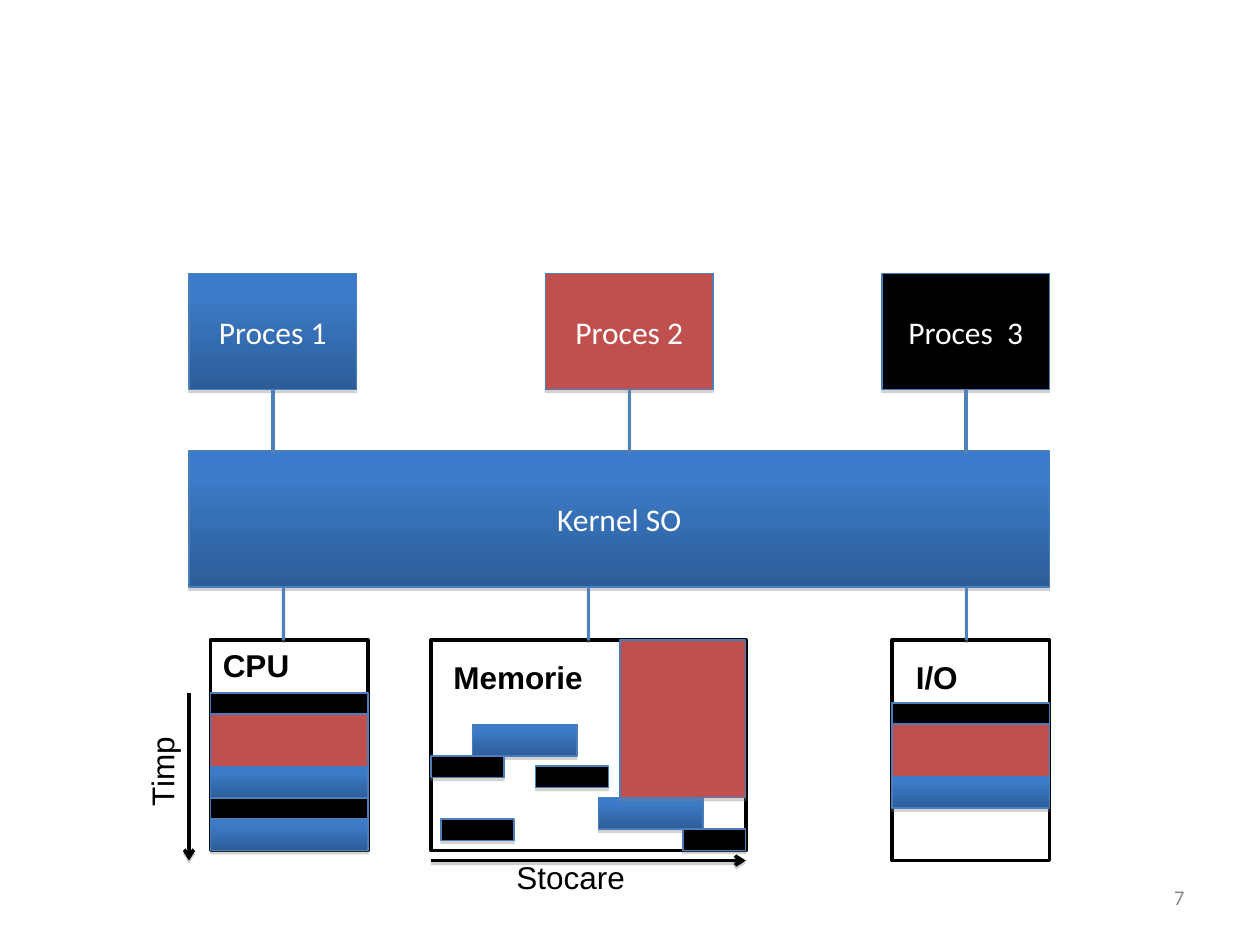
from copy import deepcopy
from dataclasses import dataclass
from typing import Optional

from lxml.etree import SubElement
from pptx import Presentation
from pptx.dml.color import RGBColor
from pptx.enum.shapes import MSO_CONNECTOR as Connector, MSO_SHAPE as Shape
from pptx.enum.text import MSO_ANCHOR as Anchor, MSO_AUTO_SIZE as AutoSize, PP_ALIGN as Align
from pptx.oxml.ns import qn
from pptx.util import Inches, Pt


@dataclass(frozen=True)
class Theme:
    blue: tuple = ((0, "3A7CCB"), (0.2, "3C7BC7"), (1, "2C5D98"))
    red: str = "C0504D"
    black: str = "000000"
    white: str = "FFFFFF"
    grey: str = "898989"
    shadow: str = "808080"
    outline: str = "4A7EBB"
    link: str = "4F81BD"
    body_font: str = "Calibri"
    label_font: str = "Arial"
    text_size: int = 18
    number_size: int = 12
    thin_line: float = 0.75
    thick_line: float = 2


@dataclass(frozen=True)
class Box:
    left: float
    top: float
    width: float
    height: float

    @property
    def center(self) -> float:
        return self.left + self.width / 2

    @property
    def right(self) -> float:
        return self.left + self.width

    @property
    def bottom(self) -> float:
        return self.top + self.height

    def lengths(self) -> tuple:
        return tuple(Inches(n) for n in (self.left, self.top, self.width, self.height))


@dataclass(frozen=True)
class Process:
    text: str
    left: float
    fill: object


@dataclass(frozen=True)
class Label:
    text: str
    box: Box
    bold: bool = False
    wrap: bool = False
    rotation: int = 0


THEME = Theme()
UNIT = 1 / 12
BAND_HEIGHTS = {THEME.black: 2 * UNIT, THEME.red: 5 * UNIT, THEME.blue: 3 * UNIT}

KERNEL = Box(1.5, 3.58, 6.83, 1.08)
CPU = Box(1.67, 5.08, 1.25, 1.67)
MEMORY = Box(3.42, 5.08, 2.5, 1.67)
DEVICES = Box(7.08, 5.08, 1.25, 1.75)

PROCESSES = [
    Process("Proces 1", 1.5, THEME.blue),
    Process("Proces 2", 4.33, THEME.red),
    Process("Proces  3", 7, THEME.black),
]
MEMORY_BLOCKS = [
    (Box(3.75, 5.75, 0.83, 0.25), THEME.blue),
    (Box(4.75, 6.33, 0.83, 0.25), THEME.blue),
    (Box(4.92, 5.08, 1, 1.25), THEME.red),
    (Box(3.5, 6.5, 0.58, 0.17), THEME.black),
    (Box(5.42, 6.58, 0.5, 0.17), THEME.black),
    (Box(4.25, 6.08, 0.58, 0.17), THEME.black),
    (Box(3.42, 6, 0.58, 0.17), THEME.black),
]
LABELS = [
    Label("Memorie", Box(3.5, 5.17, 1.24, 0.4), bold=True),
    Label("CPU", Box(1.67, 5.08, 0.73, 0.4), bold=True),
    Label("I/O", Box(7.17, 5.17, 1.47, 0.4), bold=True, wrap=True),
    Label("Timp", Box(0.91, 5.92, 0.75, 0.4), rotation=270),
    Label("Stocare", Box(4, 6.76, 1.07, 0.4)),
]


def write_text(shape, text: str, *, font: str = THEME.body_font, size: int = THEME.text_size,
               color: str = THEME.white, bold: bool = False, align=Align.CENTER,
               anchor=Anchor.MIDDLE, wrap: bool = True) -> None:
    frame = shape.text_frame
    frame.word_wrap = wrap
    frame.vertical_anchor = anchor
    paragraph = frame.paragraphs[0]
    paragraph.alignment = align
    run = paragraph.add_run()
    run.text = text
    run.font.name, run.font.size, run.font.bold = font, Pt(size), bold
    run.font.color.rgb = RGBColor.from_string(color)


def add_shadow(shape, distance: float, opacity: int) -> None:
    """Put a soft grey shadow straight below a shape or connector."""
    properties = shape._element.spPr
    effects = properties.find(qn("a:effectLst"))
    if effects is None:
        effects = SubElement(properties, qn("a:effectLst"))
    outer = SubElement(effects, qn("a:outerShdw"), blurRad="0", dist=str(Pt(distance)),
                       dir="5400000", rotWithShape="0")
    color = SubElement(outer, qn("a:srgbClr"), val=THEME.shadow)
    SubElement(color, qn("a:alpha"), val=str(opacity * 1000))


def paint(shape, fill) -> None:
    """Fill with one colour, or with a top-down gradient of three stops."""
    if isinstance(fill, str):
        shape.fill.solid()
        shape.fill.fore_color.rgb = RGBColor.from_string(fill)
        return
    shape.fill.gradient()
    shape.fill.gradient_angle = 270
    first = shape.fill.gradient_stops[0]._gs
    first.addnext(deepcopy(first))
    for stop, (position, color) in zip(shape.fill.gradient_stops, fill):
        stop.position = position
        stop.color.rgb = RGBColor.from_string(color)


def add_box(slide, box: Box, fill, *, line: str = THEME.outline,
            weight: float = THEME.thin_line, shadow: bool = True):
    shape = slide.shapes.add_shape(Shape.RECTANGLE, *box.lengths())
    paint(shape, fill)
    shape.line.color.rgb = RGBColor.from_string(line)
    shape.line.width = Pt(weight)
    shape.shadow.inherit = False
    if shadow:
        add_shadow(shape, 1.8, 35)
    return shape


def add_frame(slide, box: Box):
    return add_box(slide, box, THEME.white, line=THEME.black, weight=THEME.thick_line, shadow=False)


def add_bands(slide, frame: Box, top: float, fills: list) -> None:
    """Stack full-width bands downwards inside a frame."""
    for fill in fills:
        height = BAND_HEIGHTS[fill]
        add_box(slide, Box(frame.left, top, frame.width, height), fill)
        top += height


def add_line(slide, start: tuple, end: tuple, *, color: str = THEME.link, arrow: bool = False):
    line = slide.shapes.add_connector(Connector.STRAIGHT, *map(Inches, start + end))
    line.line.color.rgb = RGBColor.from_string(color)
    line.line.width = Pt(THEME.thick_line)
    if arrow:
        SubElement(line.line._get_or_add_ln(), qn("a:tailEnd"), type="arrow")
    add_shadow(line, 1.6, 38)
    return line


def add_label(slide, label: Label) -> None:
    shape = slide.shapes.add_textbox(*label.box.lengths())
    shape.rotation = label.rotation
    write_text(shape, label.text, font=THEME.label_font, color=THEME.black, bold=label.bold,
               align=Align.LEFT, anchor=Anchor.TOP, wrap=label.wrap)
    shape.text_frame.auto_size = AutoSize.SHAPE_TO_FIT_TEXT


def main() -> None:
    presentation = Presentation()
    presentation.slide_width, presentation.slide_height = Inches(10), Inches(7.5)
    slide = presentation.slides.add_slide(presentation.slide_layouts[6])

    write_text(add_box(slide, KERNEL, THEME.blue), "Kernel SO")
    for process in PROCESSES:
        box = Box(process.left, 2.17, 1.33, 0.92)
        shape = add_box(slide, box, process.fill)
        write_text(shape, process.text)
        link = add_line(slide, (box.center, box.bottom), (box.center, KERNEL.top))
        link.begin_connect(shape, 2)

    memory = add_frame(slide, MEMORY)
    for box, fill in MEMORY_BLOCKS:
        add_box(slide, box, fill)
    add_frame(slide, CPU)
    add_bands(slide, CPU, 5.5, [THEME.black, THEME.red, THEME.blue, THEME.black, THEME.blue])
    add_frame(slide, DEVICES)
    add_bands(slide, DEVICES, 5.58, [THEME.black, THEME.red, THEME.blue])

    for x, target in ((2.25, None), (MEMORY.center, memory), (7.67, None)):
        link = add_line(slide, (x, KERNEL.bottom), (x, MEMORY.top))
        if target is not None:
            link.end_connect(target, 0)
    add_line(slide, (1.5, 5.5), (1.5, 6.83), color=THEME.black, arrow=True)
    add_line(slide, (MEMORY.left, 6.83), (MEMORY.right, 6.83), color=THEME.black, arrow=True)

    for label in LABELS:
        add_label(slide, label)
    number = slide.shapes.add_textbox(*Box(7.17, 6.92, 2.33, 0.4).lengths())
    write_text(number, "7", size=THEME.number_size, color=THEME.grey, align=Align.RIGHT)
    presentation.save("out.pptx")


if __name__ == "__main__":
    main()
